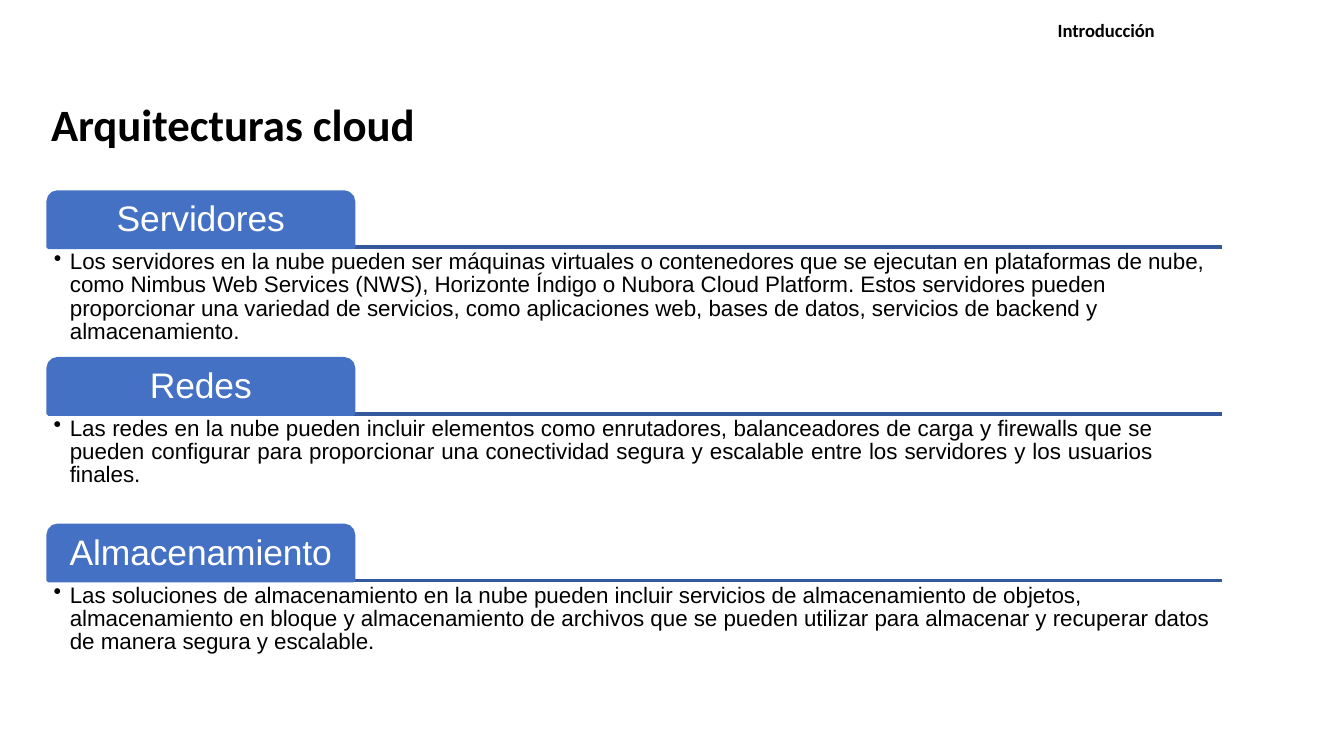
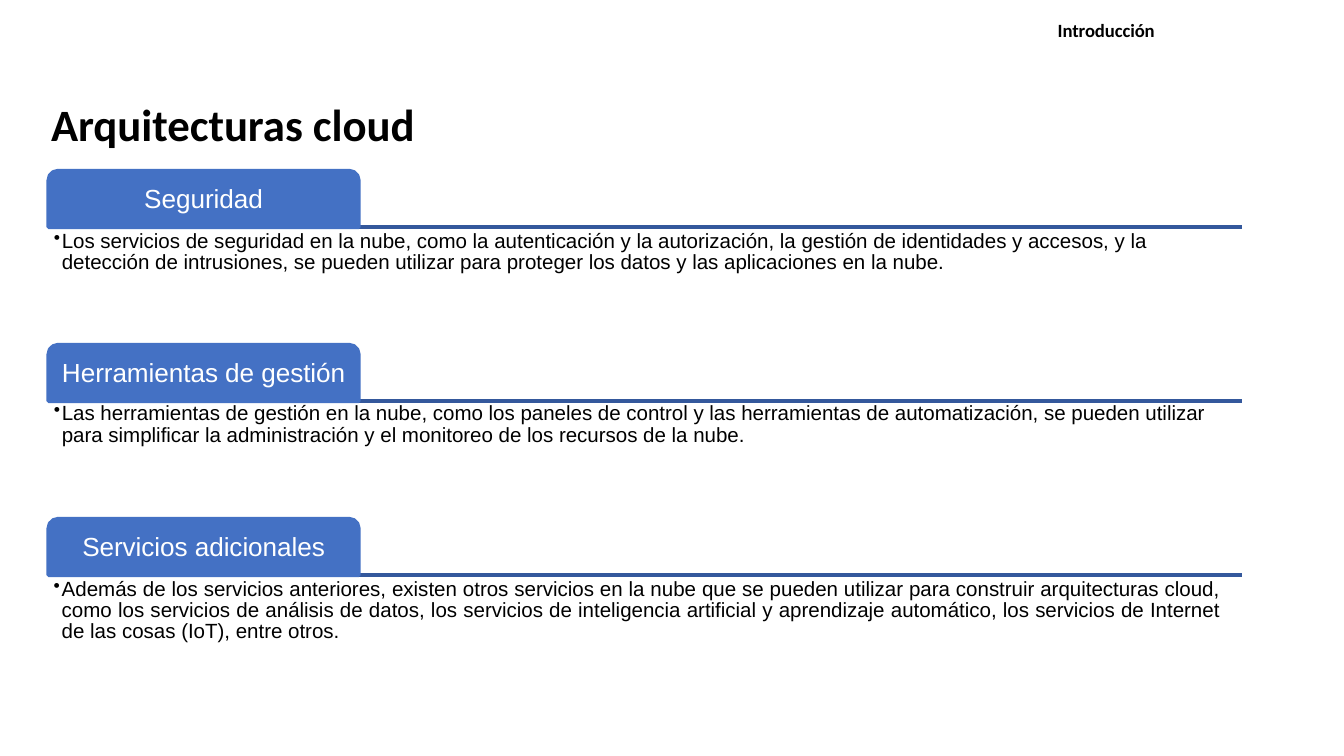
import pptx
import pptx.util
import pptx.dml.color
import pptx.enum.shapes
import pptx.enum.text
import lxml.etree

WIDTH = 10
HEIGHT = WIDTH * 9 / 16
LEFT = 0.36
BLUE, DARK_BLUE, BLACK, WHITE = "4471C4", "34589C", "000000", "FFFFFF"
ALIGN = pptx.enum.text.PP_ALIGN
Pt = pptx.util.Pt

TITLE = "Arquitecturas cloud"
SECTION_NAME = "Introducción"
TITLE_BOX = (0.37, 0.7, 2.75, 0.43)
SECTION_BOX = (7.86, 0.12, 0.76, 0.19)
TITLE_FORMAT = {"size": Pt(24), "name": "Calibri", "bold": True}
SECTION_FORMAT = {"size": Pt(10), "name": "Calibri", "bold": True}
HEADING_MARGINS = {"margin_left": 0.01, "margin_top": 0.02}

SLIDES = [
    {
        "top": 1.43, "pitch": 1.24, "tab": (2.27, 0.41), "rule_width": 8.73,
        "label_size": 19, "label_margin": 0.05, "body_size": 12, "body_margin": 0.04,
        "space_before": 3, "indent": (0.14, -0.12), "bullet_percent": 100,
        "sections": [
            ("Servidores",
             "Los servidores en la nube pueden ser máquinas virtuales o contenedores que se ejecutan en "
             "plataformas de nube, como Nimbus Web Services (NWS), Horizonte Índigo o Nubora Cloud "
             "Platform. Estos servidores pueden proporcionar una variedad de servicios, como aplicaciones "
             "web, bases de datos, servicios de backend y almacenamiento.",
             8.62, 4, -0.01, 0.86, ALIGN.LEFT),
            ("Redes",
             "Las redes en la nube pueden incluir elementos como enrutadores, balanceadores de carga y "
             "firewalls que se pueden configurar para proporcionar una conectividad segura y escalable "
             "entre los servidores y los usuarios finales.",
             8.2, 3, -0.01, 0.86, ALIGN.JUSTIFY),
            ("Almacenamiento",
             "Las soluciones de almacenamiento en la nube pueden incluir servicios de almacenamiento de "
             "objetos, almacenamiento en bloque y almacenamiento de archivos que se pueden utilizar para "
             "almacenar y recuperar datos de manera segura y escalable.",
             8.67, 3, -0.01, 0.86, ALIGN.LEFT),
        ],
    },
    {
        "top": 1.27, "pitch": 1.295, "tab": (2.31, 0.42), "rule_width": 8.88,
        "label_size": 14, "label_margin": 0.03, "body_size": 11, "body_margin": 0,
        "space_before": 0, "indent": (0.08, -0.06), "bullet_percent": 91,
        "sections": [
            ("Seguridad",
             "Los servicios de seguridad en la nube, como la autenticación y la autorización, la gestión "
             "de identidades y accesos, y la detección de intrusiones, se pueden utilizar para proteger "
             "los datos y las aplicaciones en la nube.",
             8.19, 2, 0.03, Pt(11.4), ALIGN.LEFT),
            ("Herramientas de gestión",
             "Las herramientas de gestión en la nube, como los paneles de control y las herramientas de "
             "automatización, se pueden utilizar para simplificar la administración y el monitoreo de los "
             "recursos de la nube.",
             8.61, 2, 0, Pt(12.3), ALIGN.LEFT),
            ("Servicios adicionales",
             "Además de los servicios anteriores, existen otros servicios en la nube que se pueden "
             "utilizar para construir arquitecturas cloud, como los servicios de análisis de datos, los "
             "servicios de inteligencia artificial y aprendizaje automático, los servicios de Internet de "
             "las cosas (IoT), entre otros.",
             8.7, 3, 0.03, Pt(11.4), ALIGN.JUSTIFY),
        ],
    },
]


def color(value):
    return pptx.dml.color.RGBColor.from_string(value)


def inches(*values):
    return [pptx.util.Inches(value) for value in values]


def apply(target, values):
    for name, value in values.items():
        setattr(target, name, value)


def write(shape, text, font, margins, text_color=BLACK, paragraph_format=None,
          anchor=pptx.enum.text.MSO_ANCHOR.TOP):
    frame = shape.text_frame
    for side in ("margin_left", "margin_top", "margin_right", "margin_bottom"):
        setattr(frame, side, pptx.util.Inches(margins.get(side, 0)))
    apply(frame, {"word_wrap": True, "vertical_anchor": anchor,
                  "auto_size": pptx.enum.text.MSO_AUTO_SIZE.NONE})
    frame.text = text
    paragraph = frame.paragraphs[0]
    apply(paragraph, {"alignment": ALIGN.LEFT, "space_before": Pt(1), **(paragraph_format or {})})
    run = paragraph.runs[0]
    apply(run.font, font)
    run.font.color.rgb = color(text_color)
    run.font._element.set("spc", "-2" if anchor == pptx.enum.text.MSO_ANCHOR.TOP else "-5")
    return paragraph


def add_bullet(paragraph, indent, percent):
    properties = paragraph._p.get_or_add_pPr()
    for name, value in zip(("marL", "indent"), inches(*indent)):
        properties.set(name, str(int(value)))
    for tag, name, value in (("buSzPct", "val", str(percent * 1000)), ("buChar", "char", "•")):
        element = lxml.etree.SubElement(properties, pptx.oxml.ns.qn("a:" + tag))
        element.set(name, value)


def add_rule(slide, top, width):
    rule = slide.shapes.add_connector(pptx.enum.shapes.MSO_CONNECTOR.STRAIGHT,
                                      *inches(LEFT, top, LEFT + width, top))
    rule.line.color.rgb = color(DARK_BLUE)
    rule.line.width = Pt(2)
    lxml.etree.SubElement(rule._element.spPr, pptx.oxml.ns.qn("a:effectLst"))


def add_tab(slide, content, label, top):
    tab = slide.shapes.add_shape(pptx.enum.shapes.MSO_SHAPE.ROUND_2_SAME_RECTANGLE,
                                 *inches(LEFT, top, *content["tab"]))
    tab.adjustments[0] = 0.17
    tab.shadow.inherit = False
    tab.fill.solid()
    tab.fill.fore_color.rgb = color(BLUE)
    tab.line.color.rgb = color(BLUE)
    tab.line.width = Pt(2)
    write(tab, label, {"size": Pt(content["label_size"]), "name": "Arial"},
          {"margin_bottom": content["label_margin"]}, WHITE,
          {"alignment": ALIGN.CENTER, "space_before": 0}, pptx.enum.text.MSO_ANCHOR.MIDDLE)


def add_section(slide, content, index, section):
    label, text, width, lines, offset, spacing, alignment = section
    top = content["top"] + index * content["pitch"]
    rule_top = top + content["tab"][1]
    add_rule(slide, rule_top, content["rule_width"])
    add_tab(slide, content, label, top)
    body = slide.shapes.add_textbox(*inches(0.38, rule_top + offset, width, 0.18 * lines + 0.03))
    paragraph = write(body, text, {"size": Pt(content["body_size"]), "name": "Arial"},
                      {"margin_top": content["body_margin"]},
                      paragraph_format={"alignment": alignment, "line_spacing": spacing,
                                        "space_before": Pt(content["space_before"])})
    add_bullet(paragraph, content["indent"], content["bullet_percent"])


def add_slide(presentation, content):
    slide = presentation.slides.add_slide(presentation.slide_layouts[5])
    title = slide.shapes.title
    apply(title, dict(zip(("left", "top", "width", "height"), inches(*TITLE_BOX))))
    write(title, TITLE, TITLE_FORMAT, HEADING_MARGINS)
    section_box = slide.shapes.add_textbox(*inches(*SECTION_BOX))
    write(section_box, SECTION_NAME, SECTION_FORMAT, HEADING_MARGINS)
    for index, section in enumerate(content["sections"]):
        add_section(slide, content, index, section)


def main():
    presentation = pptx.Presentation()
    presentation.slide_width, presentation.slide_height = inches(WIDTH, HEIGHT)
    for content in SLIDES:
        add_slide(presentation, content)
    presentation.save("out.pptx")


if __name__ == "__main__":
    main()
